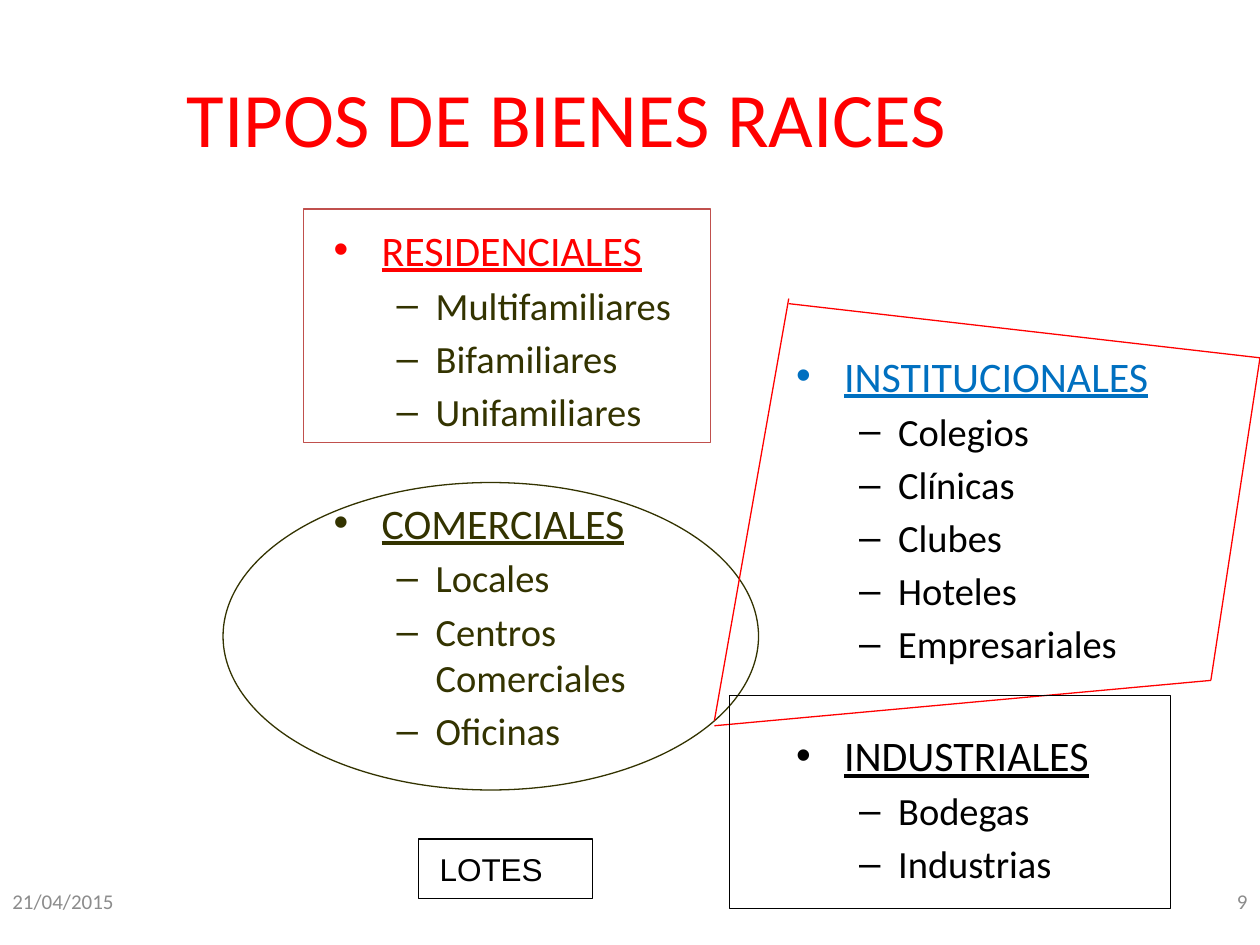
from lxml import etree
from pptx import Presentation, util as u
from pptx.dml.color import RGBColor
from pptx.enum import shapes, text
from pptx.oxml.ns import qn

RED, BLUE, OLIVE, BLACK, GREY, BRICK = "FF0000", "0070C0", "333300", "000000", "8C8C8C", "C0504D"


def colour(hex_value):
    return RGBColor.from_string(hex_value)


class SlideBuilder:
    """Holds the style and the current slide, and draws each kind of element."""

    font = "Calibri"
    line_width = u.Pt(0.75)

    def __init__(self, slide):
        self.slide = slide

    def frame(self, box, anchor=text.MSO_ANCHOR.TOP):
        frame = self.slide.shapes.add_textbox(*map(u.Inches, box)).text_frame
        frame.word_wrap = True
        frame.vertical_anchor = anchor
        return frame

    def run(self, paragraph, words, size, ink, font=None, underline=False):
        run = paragraph.add_run()
        run.text = words
        run.font.name = font or self.font
        run.font.size = u.Pt(size)
        run.font.color.rgb = colour(ink)
        run.font.underline = underline

    def label(self, box, words, size, ink, align=text.PP_ALIGN.LEFT,
              anchor=text.MSO_ANCHOR.MIDDLE, font=None, before=0):
        paragraph = self.frame(box, anchor).paragraphs[0]
        paragraph.alignment = align
        paragraph.space_before = u.Pt(before)
        self.run(paragraph, words, size, ink, font)

    def bullet(self, paragraph, mark, margin, hanging, before):
        paragraph.space_before = u.Pt(before)
        properties = paragraph._p.get_or_add_pPr()
        properties.set("marL", str(u.Inches(margin)))
        properties.set("indent", str(-u.Inches(hanging)))
        etree.SubElement(properties, qn("a:buFont")).set("typeface", "Arial")
        etree.SubElement(properties, qn("a:buChar")).set("char", mark)

    def categories(self, box, groups):
        frame = self.frame(box)
        paragraph = frame.paragraphs[0]
        for index, (heading, heading_ink, items, item_ink) in enumerate(groups):
            if index:
                paragraph = frame.add_paragraph()
            self.bullet(paragraph, "•", 0.38, 0.38, 36 if index else 5)
            self.run(paragraph, heading, 24, heading_ink, underline=True)
            for item in items:
                paragraph = frame.add_paragraph()
                paragraph.level = 1
                self.bullet(paragraph, "–", 0.81, 0.31, 4)
                self.run(paragraph, item, 22, item_ink)

    def outline(self, kind, box, ink):
        shape = self.slide.shapes.add_shape(kind, *map(u.Inches, box))
        shape.shadow.inherit = False
        shape.fill.background()
        shape.line.color.rgb = colour(ink)
        shape.line.width = self.line_width

    def line(self, start, end, ink):
        edge = self.slide.shapes.add_connector(
            shapes.MSO_CONNECTOR.STRAIGHT, *map(u.Inches, start + end))
        edge.line.color.rgb = colour(ink)
        edge.line.width = self.line_width
        etree.SubElement(edge._element.spPr, qn("a:effectLst"))


def main():
    deck = Presentation()
    deck.slide_width, deck.slide_height = u.Inches(10), u.Inches(7.5)
    page = SlideBuilder(deck.slides.add_slide(deck.slide_layouts[6]))
    rectangle, oval = shapes.MSO_SHAPE.RECTANGLE, shapes.MSO_SHAPE.OVAL

    page.label((0, 0.3, 9, 1.25), "TIPOS DE BIENES RAICES", 44, RED, text.PP_ALIGN.CENTER)
    page.label((0, 6.95, 2.33, 0.4), "21/04/2015", 12, GREY)
    page.label((7.67, 6.95, 2.33, 0.4), "9", 12, GREY, text.PP_ALIGN.RIGHT)

    page.categories((2.55, 1.73, 3.25, 4.85), [
        ("RESIDENCIALES", RED, ["Multifamiliares", "Bifamiliares", "Unifamiliares"], OLIVE),
        ("COMERCIALES", OLIVE, ["Locales", "Centros Comerciales", "Oficinas"], OLIVE),
    ])
    page.categories((6.22, 2.73, 3.78, 4.77), [
        ("INSTITUCIONALES", BLUE,
         ["Colegios", "Clínicas", "Clubes", "Hoteles", "Empresariales"], BLACK),
        ("INDUSTRIALES", BLACK, ["Bodegas", "Industrias"], BLACK),
    ])

    page.outline(rectangle, (2.41, 1.66, 3.23, 1.85), BRICK)
    page.outline(oval, (1.77, 3.83, 4.25, 2.44), OLIVE)
    for start, end in [
        ((6.26, 2.37), (5.67, 5.72)),
        ((5.67, 5.76), (9.61, 5.4)),
        ((6.26, 2.41), (10, 2.84)),
        ((10, 2.84), (9.61, 5.4)),
    ]:
        page.line(start, end, RED)
    page.outline(rectangle, (5.79, 5.52, 3.5, 1.69), BLACK)

    page.label((3.39, 6.7, 1.89, 0.4), "LOTES", 18, BLACK,
               anchor=text.MSO_ANCHOR.TOP, font="Arial", before=9)
    page.outline(rectangle, (3.32, 6.66, 1.38, 0.47), BLACK)

    deck.save("out.pptx")


if __name__ == "__main__":
    main()
